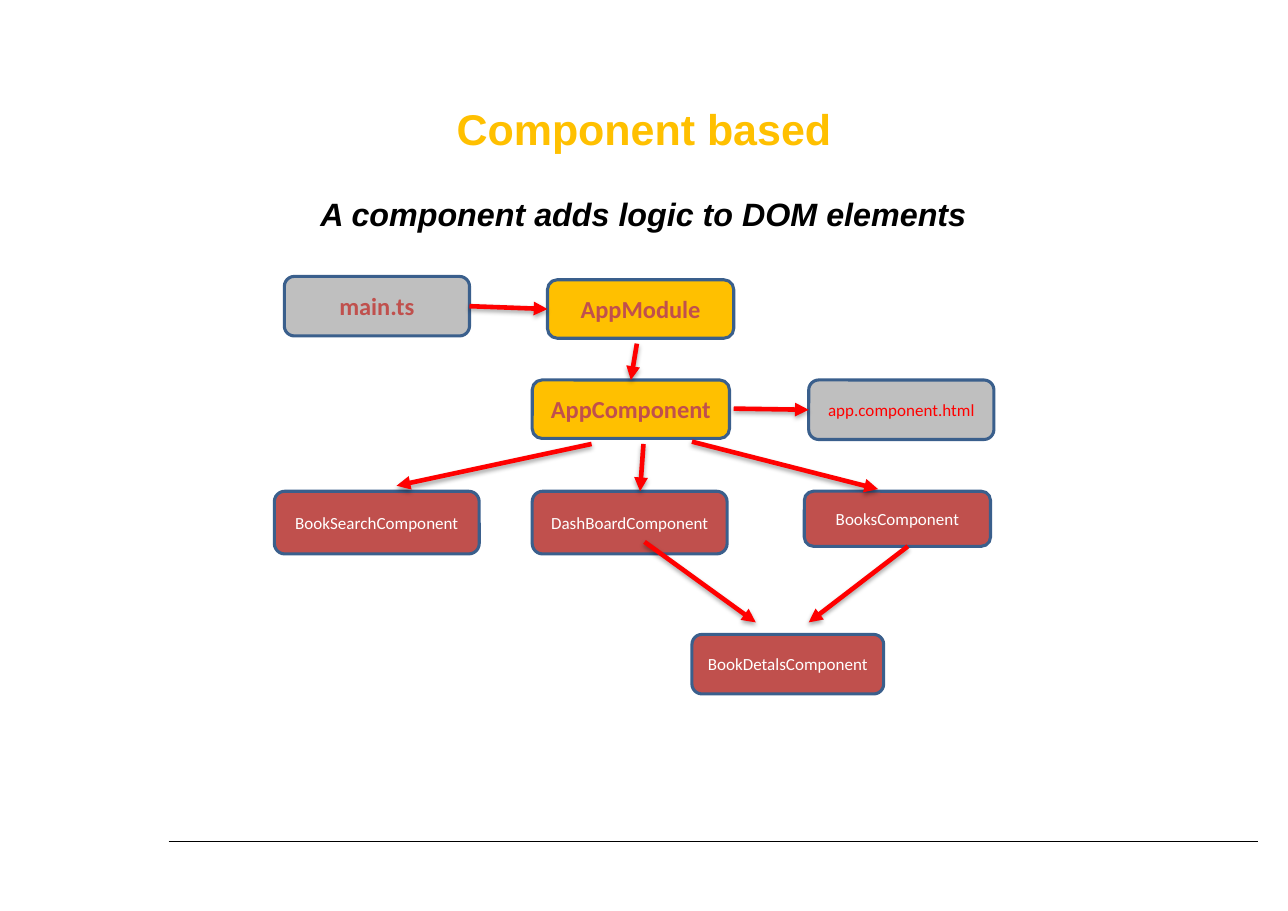
from dataclasses import dataclass

from lxml.etree import SubElement
from pptx import Presentation
from pptx.dml.color import RGBColor
from pptx.enum.shapes import MSO_CONNECTOR, MSO_SHAPE
from pptx.enum.text import MSO_ANCHOR, MSO_AUTO_SIZE, PP_ALIGN
from pptx.oxml.ns import qn
from pptx.util import Pt

TOP, LEFT, RIGHT = 0, 1, 3


@dataclass(frozen=True)
class Theme:
    amber: RGBColor = RGBColor(0xFF, 0xC0, 0x00)
    brick: RGBColor = RGBColor(0xC0, 0x50, 0x4D)
    grey: RGBColor = RGBColor(0xBF, 0xBF, 0xBF)
    red: RGBColor = RGBColor(0xFF, 0x00, 0x00)
    white: RGBColor = RGBColor(0xFF, 0xFF, 0xFF)
    black: RGBColor = RGBColor(0x00, 0x00, 0x00)
    border: RGBColor = RGBColor(0x3A, 0x5F, 0x8C)
    heading_font: str = "Arial"
    box_font: str = "Calibri"
    title_size: float = 28.1
    subtitle_size: float = 21.1
    root_size: float = 16
    leaf_size: float = 11.1


THEME = Theme()

# Box styles: fill, text colour, text size, bold
ENTRY = (THEME.grey, THEME.brick, THEME.root_size, True)
ROOT = (THEME.amber, THEME.brick, THEME.root_size, True)
TEMPLATE = (THEME.grey, THEME.red, THEME.leaf_size, False)
CHILD = (THEME.brick, THEME.white, THEME.leaf_size, False)

# Label, style, left, top, width, height
BOXES = [
    ("main.ts", ENTRY, 185.8, 180.7, 121, 38.9),
    ("AppModule", ROOT, 357.8, 182.9, 121.7, 38.2),
    ("AppComponent", ROOT, 347.8, 248.4, 128.9, 38.2),
    ("app.component.html", TEMPLATE, 528.5, 248.4, 121, 38.9),
    ("BookSearchComponent", CHILD, 179.3, 321.1, 133.9, 41),
    ("DashBoardComponent", CHILD, 347.8, 321.1, 127.4, 41),
    ("BooksComponent", CHILD, 525.6, 321.1, 121.7, 36),
    ("BookDetalsComponent", CHILD, 452.2, 414.7, 125.3, 38.9),
]

# Each end is a point, or a box label with the side it joins
ARROWS = [
    (("main.ts", RIGHT), ("AppModule", LEFT)),
    ((416.2, 224.6), ("AppComponent", TOP)),
    ((479.5, 267.1), ("app.component.html", LEFT)),
    ((386.6, 290.2), (259.2, 317.5)),
    ((420.5, 290.2), (418.3, 321.1)),
    ((452.2, 288.7), (573.8, 319.7)),
    ((421.2, 354.2), (493.9, 406.8)),
    ((593.3, 357.1), (528.5, 406.8)),
]


def style_run(run, font, size, color, bold=False, italic=False):
    run.font.name = font
    run.font.size = Pt(size)
    run.font.color.rgb = color
    run.font.bold = bold
    run.font.italic = italic


def add_heading(slide):
    title = slide.shapes.title
    title.left, title.top, title.width, title.height = Pt(151.2), Pt(60), Pt(539.3), Pt(126)
    frame = title.text_frame
    frame.auto_size = MSO_AUTO_SIZE.NONE
    frame.word_wrap = True
    frame.vertical_anchor = MSO_ANCHOR.TOP
    frame.margin_left = frame.margin_right = frame.margin_top = frame.margin_bottom = Pt(7.2)
    frame.text = "Component based\nA component adds logic to DOM elements"
    headline, subtitle = frame.paragraphs
    headline.alignment = subtitle.alignment = PP_ALIGN.CENTER
    subtitle.space_before = Pt(26)
    style_run(headline.runs[0], THEME.heading_font, THEME.title_size, THEME.amber, bold=True)
    style_run(subtitle.runs[0], THEME.heading_font, THEME.subtitle_size, THEME.black,
              bold=True, italic=True)


def add_box(slide, label, style, left, top, width, height):
    fill, color, size, bold = style
    box = slide.shapes.add_shape(MSO_SHAPE.ROUNDED_RECTANGLE,
                                 Pt(left), Pt(top), Pt(width), Pt(height))
    box.shadow.inherit = False
    box.fill.solid()
    box.fill.fore_color.rgb = fill
    box.line.color.rgb = THEME.border
    box.line.width = Pt(2)
    frame = box.text_frame
    frame.word_wrap = True
    frame.vertical_anchor = MSO_ANCHOR.MIDDLE
    frame.text = label
    frame.paragraphs[0].alignment = PP_ALIGN.CENTER
    style_run(frame.paragraphs[0].runs[0], THEME.box_font, size, color, bold)
    return box


def add_line(slide, start, end, color, width):
    """Return a straight line and its effect list, which is empty."""
    line = slide.shapes.add_connector(MSO_CONNECTOR.STRAIGHT,
                                      Pt(start[0]), Pt(start[1]), Pt(end[0]), Pt(end[1]))
    line.line.color.rgb = color
    line.line.width = Pt(width)
    effects = SubElement(line._element.spPr, qn("a:effectLst"))
    return line, effects


def add_arrow(slide, boxes, start, end):
    joins = [isinstance(point[0], str) for point in (start, end)]
    points = [(0, 0) if joined else point for joined, point in zip(joins, (start, end))]
    arrow, effects = add_line(slide, *points, THEME.red, 3)
    if joins[0]:
        arrow.begin_connect(boxes[start[0]], start[1])
    if joins[1]:
        arrow.end_connect(boxes[end[0]], end[1])

    # Arrowhead and soft shadow below
    SubElement(arrow.line._get_or_add_ln(), qn("a:tailEnd"), type="triangle")
    shadow = SubElement(effects, qn("a:outerShdw"), blurRad=str(Pt(3.1)), dist=str(Pt(1.8)),
                        dir="5400000", rotWithShape="0")
    shade = SubElement(shadow, qn("a:srgbClr"), val=str(THEME.black))
    SubElement(shade, qn("a:alpha"), val="35000")


def main():
    deck = Presentation()
    deck.slide_width, deck.slide_height = Pt(841.68), Pt(595.44)
    slide = deck.slides.add_slide(deck.slide_layouts[5])

    # Footer rule and heading
    add_line(slide, (110.2, 550.1), (822.2, 550.1), THEME.black, 0.94)
    add_heading(slide)

    # Component tree
    boxes = {box[0]: add_box(slide, *box) for box in BOXES}
    for start, end in ARROWS:
        add_arrow(slide, boxes, start, end)

    deck.save("out.pptx")


if __name__ == "__main__":
    main()
